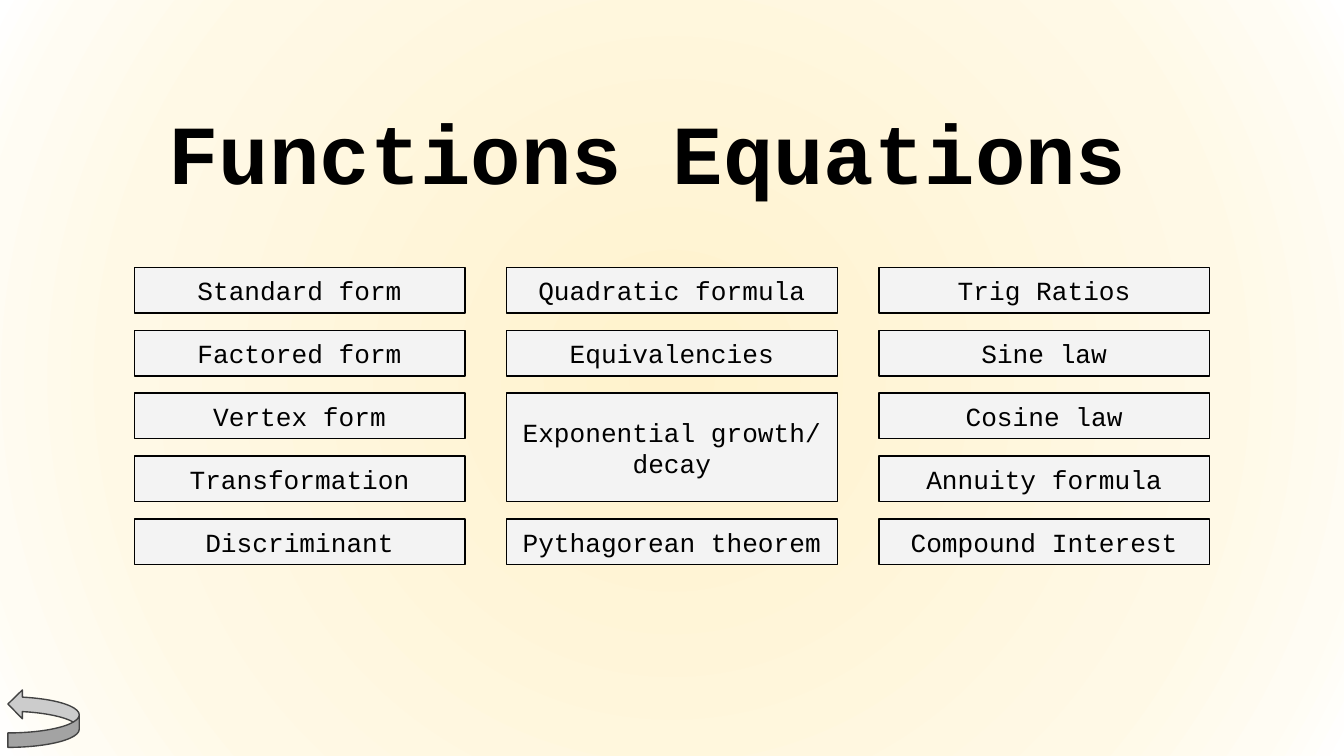
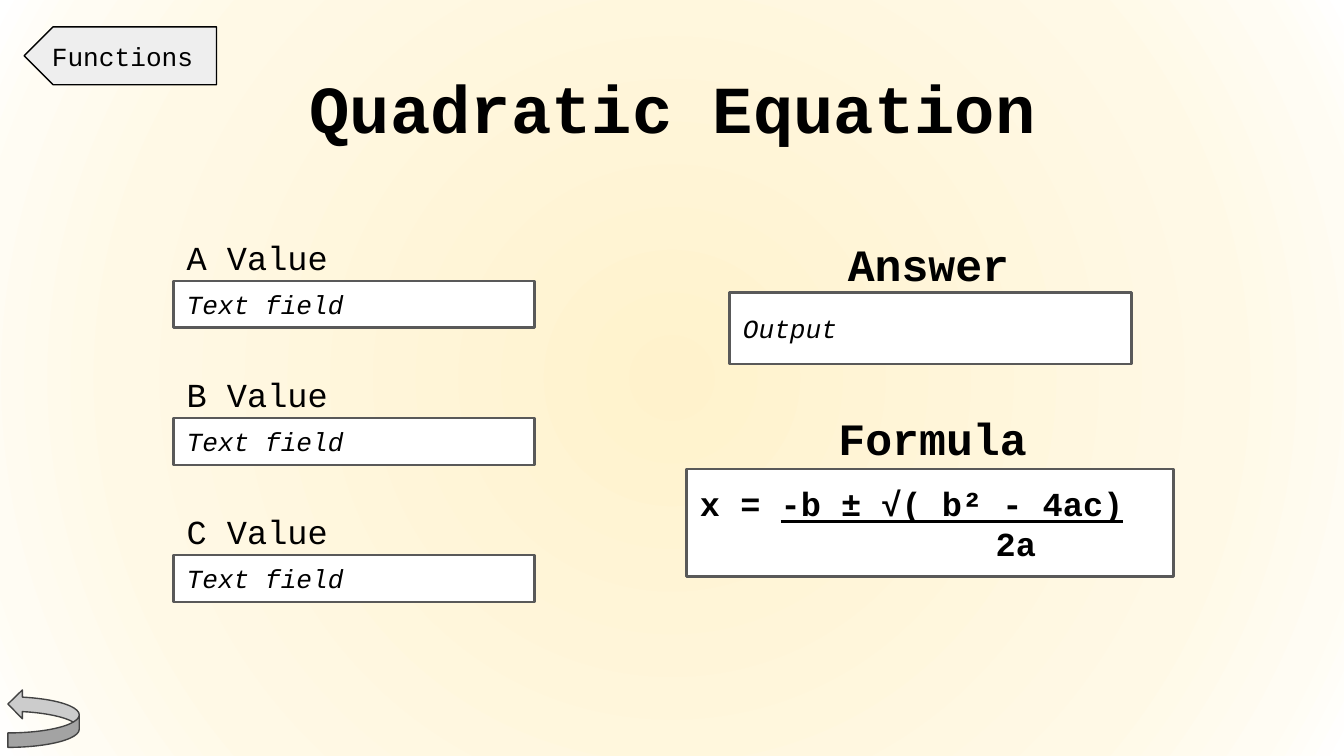
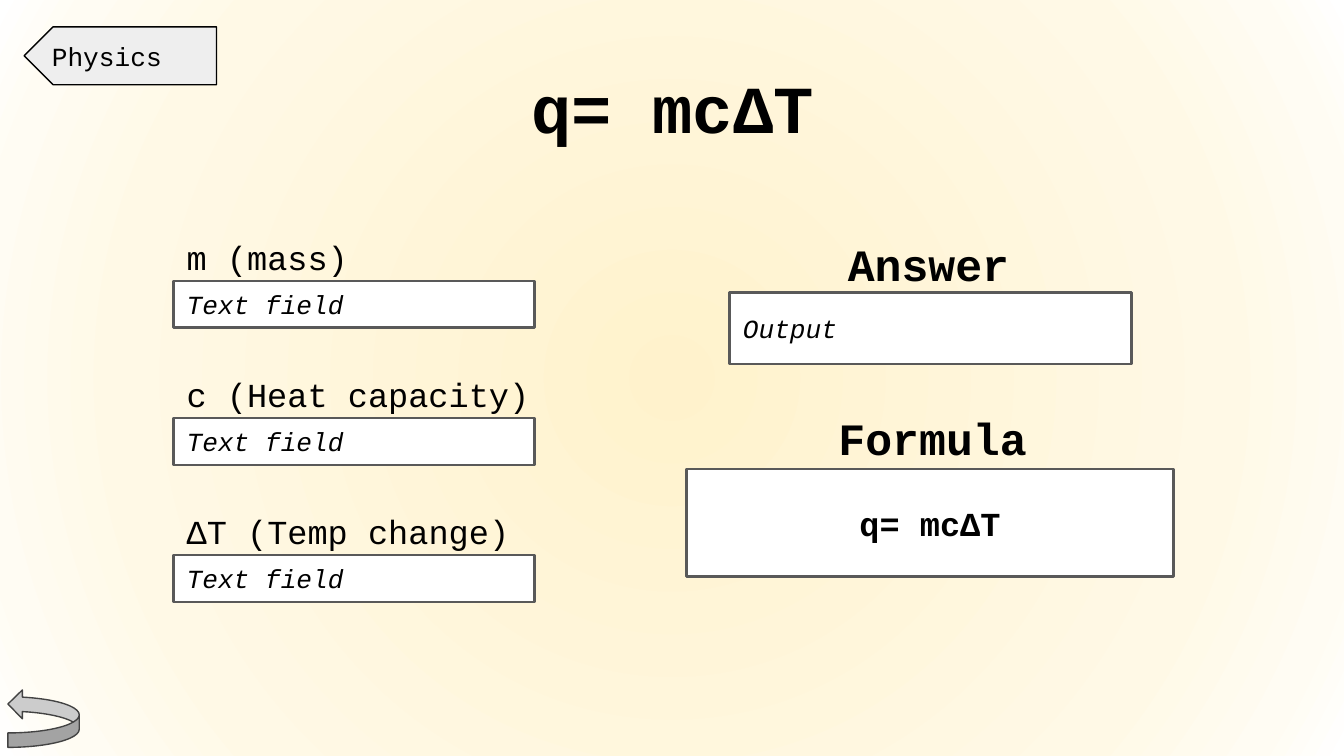
from pptx import Presentation
from pptx import oxml
from pptx import util as u
from pptx.dml import color
from pptx.enum import shapes, text
from pptx.oxml import ns

COLORS = {
    "ink": "000000", "field": "FFFFFF", "field_line": "595959",
    "button": "F3F3F3", "tab": "EEEEEE", "arrow": "CCCCCC", "arrow_line": "434343",
}
GLOW = [(0, "FFF2CC"), (72, "FFF9E6"), (90, "FFFCF3"), (100, "FFFFFF")]
FONT = "Courier New"
INSET = 7.2
LEFT, CENTER = text.PP_ALIGN.LEFT, text.PP_ALIGN.CENTER
SHAPE = shapes.MSO_SHAPE

STYLES = {
    "cover_title": {"size": u.Pt(45), "bold": True},
    "title": {"size": u.Pt(36), "bold": True},
    "heading": {"size": u.Pt(24), "bold": True},
    "formula": {"size": u.Pt(18), "bold": True},
    "numerator": {"size": u.Pt(18), "bold": True, "underline": True},
    "label": {"size": u.Pt(18)},
    "button": {"size": u.Pt(14)},
    "placeholder": {"size": u.Pt(14), "italic": True},
}

BUTTON_COLUMNS = [
    [("Standard form", 0, 1), ("Factored form", 1, 1), ("Vertex form", 2, 1),
     ("Transformation", 3, 1), ("Discriminant", 4, 1)],
    [("Quadratic formula", 0, 1), ("Equivalencies", 1, 1),
     ("Exponential growth/ decay", 2, 2), ("Pythagorean theorem", 4, 1)],
    [("Trig Ratios", 0, 1), ("Sine law", 1, 1), ("Cosine law", 2, 1),
     ("Annuity formula", 3, 1), ("Compound Interest", 4, 1)],
]

CALCULATORS = [
    {
        "tab": "Functions",
        "title": "Quadratic Equation",
        "inputs": [("A Value", 130.3), ("B Value", 130.3), ("C Value", 130.3)],
        "formula": [
            {"runs": [("x = ", "formula"), ("-b ± √( b² - 4ac)", "numerator")]},
            {"runs": [("2a", "formula")], "indent": 158.4},
        ],
    },
    {
        "tab": "Physics",
        "title": "q= mcΔT",
        "inputs": [("m (mass)", 130.3), ("c (Heat capacity)", 198.7), ("ΔT (Temp change)", 193.7)],
        "formula": [{"runs": [("q= mcΔT", "formula")], "align": CENTER}],
    },
]


def rgb(name):
    return color.RGBColor.from_string(COLORS[name])


def points(box):
    return [u.Pt(length) for length in box]


def line_of(content, style, align=LEFT):
    return [{"runs": [(content, style)], "align": align}]


def write(shape, lines, anchor):
    frame = shape.text_frame
    settings = {"word_wrap": True, "vertical_anchor": anchor}
    settings.update({f"margin_{side}": u.Pt(INSET) for side in ("left", "top", "right", "bottom")})
    for name, value in settings.items():
        setattr(frame, name, value)
    for index, line in enumerate(lines):
        paragraph = frame.add_paragraph() if index else frame.paragraphs[0]
        paragraph.alignment = line.get("align", LEFT)
        if "indent" in line:
            paragraph._p.get_or_add_pPr().set("marL", str(u.Pt(line["indent"])))
        for content, style in line["runs"]:
            run = paragraph.add_run()
            run.text = content
            run.font.color.rgb = rgb("ink")
            for name, value in {"name": FONT, **STYLES[style]}.items():
                setattr(run.font, name, value)


def add_label(slide, box, lines):
    write(slide.shapes.add_textbox(*points(box)), lines, text.MSO_ANCHOR.TOP)


def add_panel(slide, box, fill, line, width, lines=None, kind=SHAPE.RECTANGLE, flip=False):
    shape = slide.shapes.add_shape(kind, *points(box))
    shape.shadow.inherit = False
    shape.fill.solid()
    shape.fill.fore_color.rgb = rgb(fill)
    shape.line.color.rgb = rgb(line)
    shape.line.width = u.Pt(width)
    if flip:
        shape._element.spPr.xfrm.set("flipH", "1")
    if lines:
        write(shape, lines, text.MSO_ANCHOR.MIDDLE)
    return shape


def add_field(slide, box, lines):
    add_panel(slide, box, "field", "field_line", 1.5, lines)


def add_background(slide):
    slide.background.fill.gradient()
    gradient = next(slide.element.iter(ns.qn("a:gradFill")))
    stops = "".join(
        f'<a:gs pos="{percent * 1000}"><a:srgbClr val="{value}"/></a:gs>' for percent, value in GLOW
    )
    glow = oxml.parse_xml(
        f'<a:gradFill {ns.nsdecls("a")} rotWithShape="0"><a:gsLst>{stops}</a:gsLst>'
        '<a:path path="circle"><a:fillToRect l="50000" t="50000" r="50000" b="50000"/></a:path>'
        '<a:tileRect/></a:gradFill>'
    )
    gradient.getparent().replace(gradient, glow)


def add_base(presentation, title, style, title_box):
    slide = presentation.slides.add_slide(presentation.slide_layouts[6])
    add_background(slide)
    add_label(slide, title_box, line_of(title, style, CENTER))
    arrow = add_panel(slide, (4.3, 369.4, 38.2, 31), "arrow", "arrow_line", 0.75,
                      kind=SHAPE.CURVED_LEFT_ARROW, flip=True)
    arrow.rotation = 180
    return slide


def add_buttons(slide, box):
    left, top, width, height = box
    button_width, button_height = 177.1, 24.5
    column_step = (width - button_width) / (len(BUTTON_COLUMNS) - 1)
    row_step = (height - button_height) / 4
    for column, buttons in enumerate(BUTTON_COLUMNS):
        for name, row, span in buttons:
            button_box = (left + column * column_step, top + row * row_step,
                          button_width, button_height + (span - 1) * row_step)
            add_panel(slide, button_box, "button", "ink", 0.75, line_of(name, "button", CENTER))


def add_inputs(slide, box, inputs):
    left, top, width, height = box
    label_height, field_height = 31, 25.2
    step = (height - label_height - field_height) / (len(inputs) - 1)
    for index, (name, label_width) in enumerate(inputs):
        row_top = top + index * step
        add_label(slide, (left, row_top, label_width, label_height), line_of(name, "label"))
        add_field(slide, (left, row_top + label_height, width, field_height),
                  line_of("Text field", "placeholder"))


def add_results(slide, box, formula):
    left, top, width, height = box
    add_label(slide, (left + 79.2, top, 103, 31), line_of("Answer", "heading"))
    add_field(slide, (left + 23, top + 37.4, 215.3, 38.2), line_of("Output", "placeholder"))
    add_label(slide, (left + 74.2, top + 93.6, 121.7, 31), line_of("Formula", "heading"))
    add_field(slide, (left, top + height - 57.6, width, 57.6), formula)


def build_menu(presentation):
    slide = add_base(presentation, "Functions Equations ", "cover_title", (40.3, 46.8, 640, 52.6))
    add_buttons(slide, (72, 143.3, 576, 159.2))


def build_calculator(presentation, calculator):
    slide = add_base(presentation, calculator["title"], "title", (40.3, 28.1, 640, 52.6))
    add_inputs(slide, (92.9, 119.5, 193.7, 203), calculator["inputs"])
    add_results(slide, (367.9, 119.5, 260.6, 189.4), calculator["formula"])
    add_panel(slide, (13, 14.4, 103, 31), "tab", "ink", 0.75,
              line_of(calculator["tab"], "button"), SHAPE.PENTAGON, flip=True)


def main():
    presentation = Presentation()
    presentation.slide_width, presentation.slide_height = u.Pt(720), u.Pt(405)
    build_menu(presentation)
    for calculator in CALCULATORS:
        build_calculator(presentation, calculator)
    presentation.save("out.pptx")


if __name__ == "__main__":
    main()
